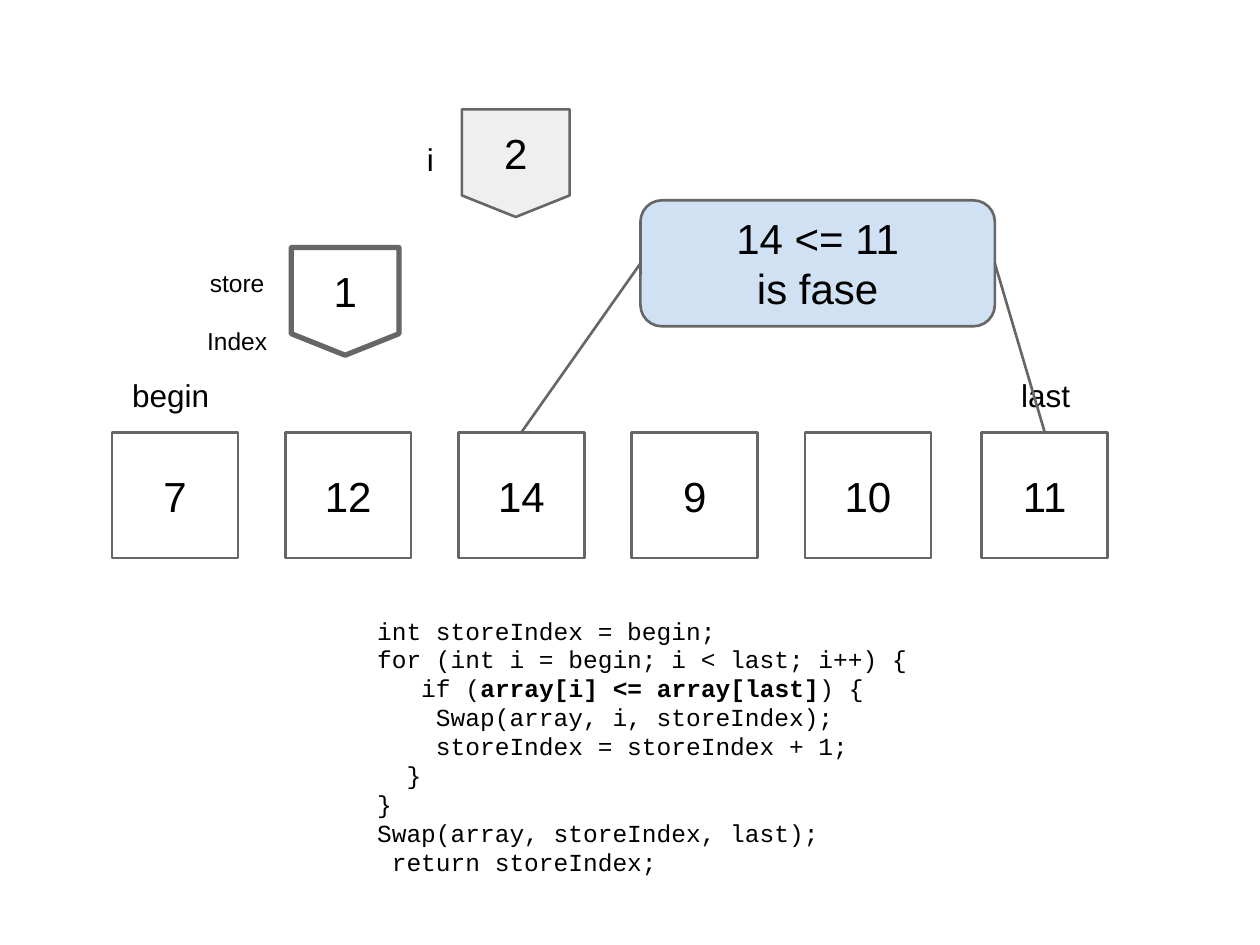
"""Build a slide that shows one step of a quicksort partition."""
import pptx
import pptx.util
import pptx.dml.color
import pptx.enum.shapes
import pptx.enum.text
import pptx.oxml.ns
import lxml.etree

Pt = pptx.util.Pt
Kind = pptx.enum.shapes.MSO_SHAPE
Align = pptx.enum.text.PP_ALIGN
Anchor = pptx.enum.text.MSO_ANCHOR
tint = pptx.dml.color.RGBColor.from_string
GRAY = "666666"


def write(shape, text, size, align=Align.CENTER, lead=None, gap=0, font="Arial"):
    """Fill a shape with lines of text; parts between bars are bold."""
    frame = shape.text_frame
    frame.word_wrap = True
    frame.margin_left = frame.margin_right = frame.margin_top = frame.margin_bottom = 0
    for row, line in enumerate(text.split("\n")):
        para = frame.add_paragraph() if row else frame.paragraphs[0]
        para.alignment = align
        para.font.size = Pt(size)
        para.font.name = font
        para.font.color.rgb = tint("000000")
        if lead:
            para.line_spacing = Pt(lead)
        if row and gap:
            para.space_before = Pt(gap)
        for part, words in enumerate(line.split("|")):
            run = para.add_run()
            run.text = words
            if part % 2:
                run.font.bold = True


def draw(kind, left, top, width, height, text, fill=None, line=1.5, lead=None):
    """Add an outlined shape with centred text."""
    shape = slide.shapes.add_shape(kind, Pt(left), Pt(top), Pt(width), Pt(height))
    shape.shadow.inherit = False
    if fill:
        shape.fill.solid()
        shape.fill.fore_color.rgb = tint(fill)
    else:
        shape.fill.background()
    shape.line.color.rgb = tint(GRAY)
    shape.line.width = Pt(line)
    write(shape, text, 24, lead=lead)
    shape.text_frame.vertical_anchor = Anchor.MIDDLE
    return shape


deck = pptx.Presentation()
deck.slide_width, deck.slide_height = Pt(720), Pt(540)
slide = deck.slides.add_slide(deck.slide_layouts[6])

cells = []
for left, value in zip([64, 163, 262, 361, 460, 561], [7, 12, 14, 9, 10, 11]):
    cells.append(draw(Kind.RECTANGLE, left, 247, 72, 72, str(value)))

labels = [
    ("begin", 67.5, 215, 60, 18, None, 0),
    ("last", 567.5, 215, 60, 18, None, 0),
    ("i", 231, 80, 30, 18, None, 0),
    ("store\nIndex", 105.5, 153.5, 60, 14, 16.5, 16.5),
]
for text, left, top, width, size, lead, gap in labels:
    height = 50 if gap else 22
    label = slide.shapes.add_textbox(Pt(left), Pt(top), Pt(width), Pt(height))
    write(label, text, size, lead=lead, gap=gap)

draw(Kind.FLOWCHART_OFFPAGE_CONNECTOR, 166.5, 141.5, 61.5, 61.5, "1", line=3)
draw(Kind.FLOWCHART_OFFPAGE_CONNECTOR, 264, 62.5, 61.5, 61.5, "2", "EFEFEF")
test = draw(Kind.ROUNDED_RECTANGLE, 366, 114.5, 202.5, 72, "14 <= 11\nis fase", "CFE1F2", lead=28.6)
test.adjustments[0] = 0.17

for side, cell in [(1, cells[2]), (3, cells[5])]:
    link = slide.shapes.add_connector(pptx.enum.shapes.MSO_CONNECTOR.STRAIGHT, 0, 0, 0, 0)
    link.begin_connect(test, side)
    link.end_connect(cell, 0)
    link.line.color.rgb = tint(GRAY)
    link.line.width = Pt(1.5)
    lxml.etree.SubElement(link._element.spPr, pptx.oxml.ns.qn("a:effectLst"))

code = """int storeIndex = begin;
for (int i = begin; i < last; i++) {
   if (|array[i] <= array[last]|) {
    Swap(array, i, storeIndex);
    storeIndex = storeIndex + 1;
  }
}
Swap(array, storeIndex, last);
 return storeIndex;"""
box = slide.shapes.add_textbox(Pt(215.5), Pt(352), Pt(320), Pt(150))
write(box, code, 14, Align.LEFT, 16.55, font="Courier New")

deck.save("out.pptx")
